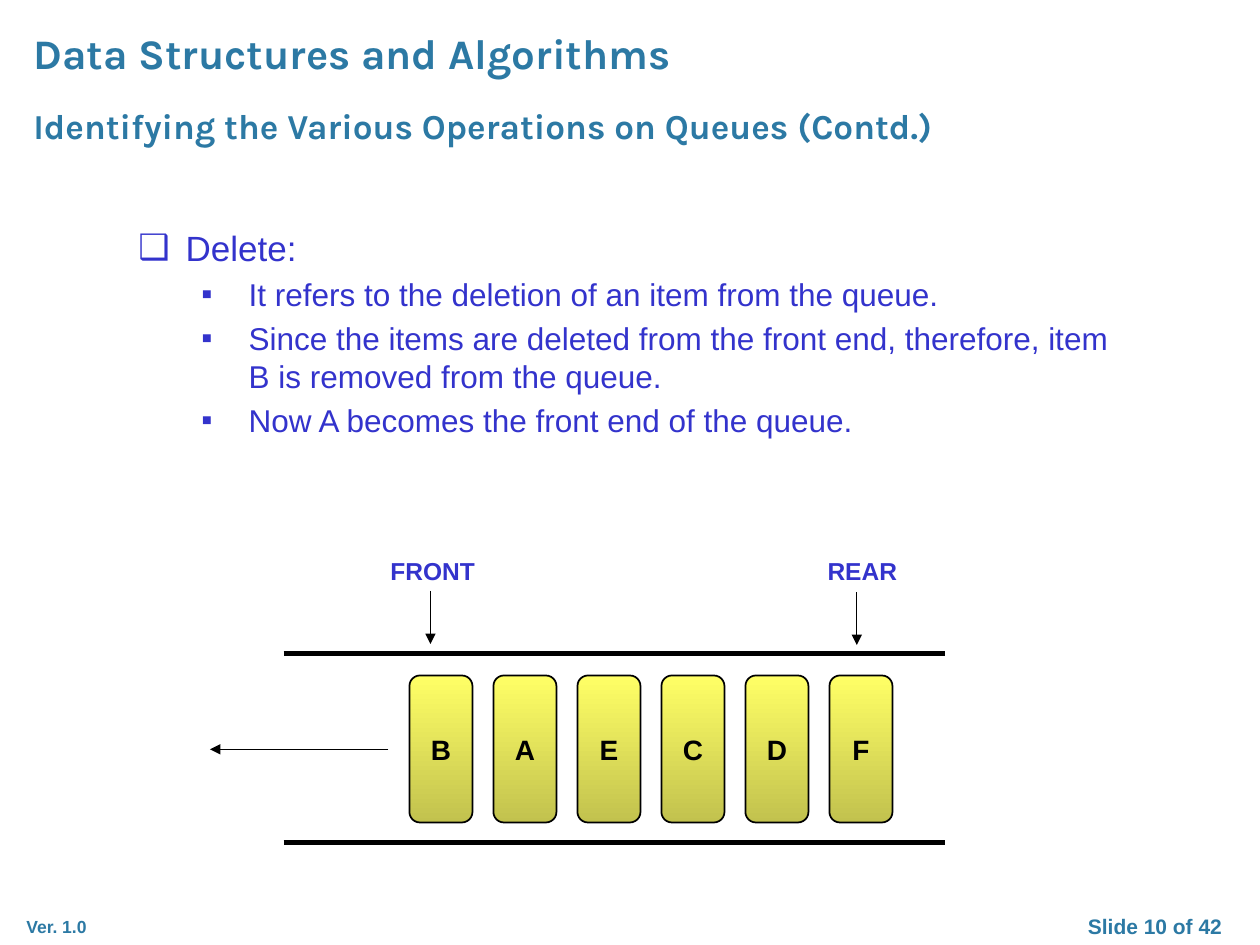
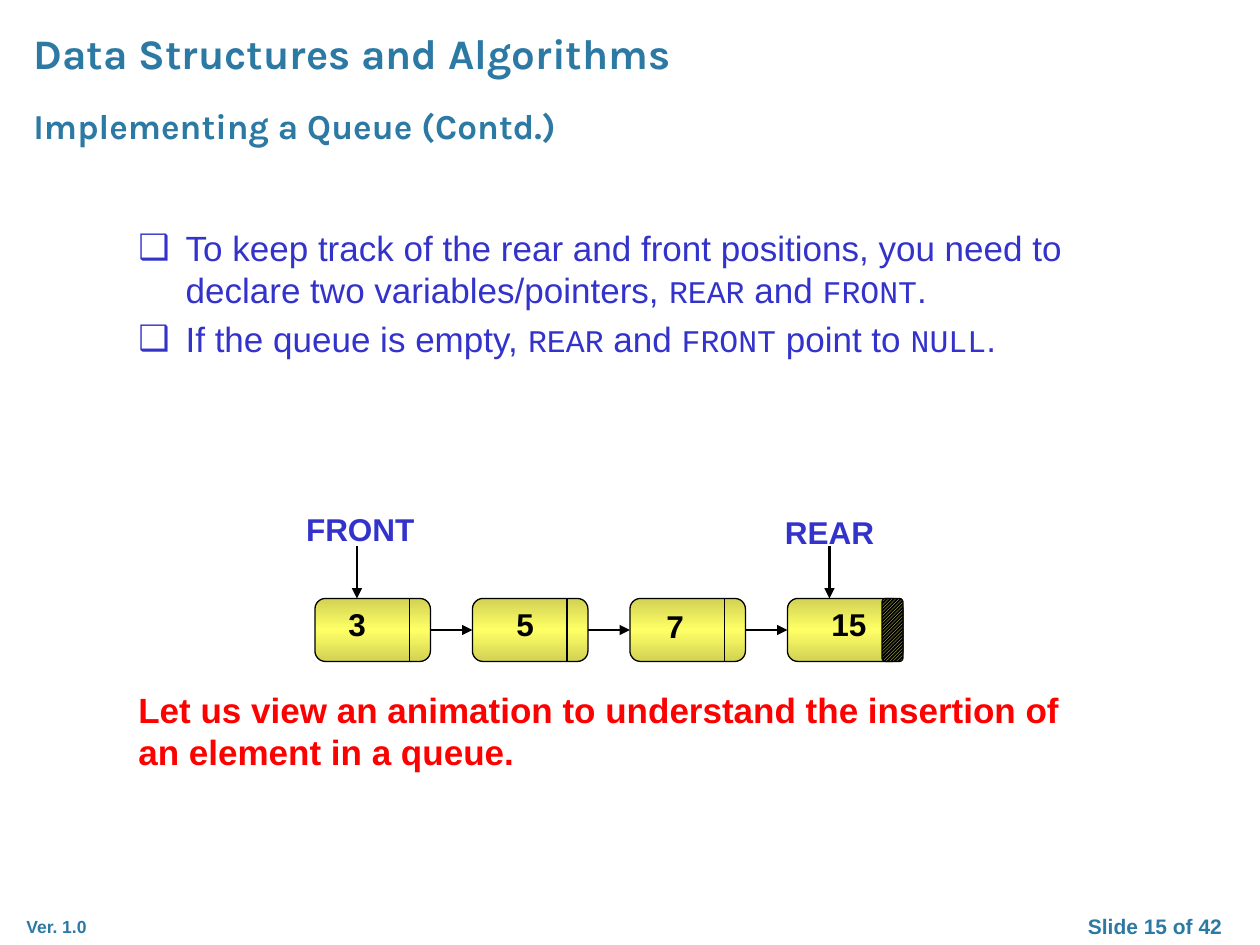
from copy import deepcopy

from lxml import etree
from pptx import Presentation
from pptx.dml.color import RGBColor
from pptx.enum.dml import MSO_PATTERN
from pptx.enum.shapes import MSO_CONNECTOR, MSO_SHAPE
from pptx.enum.text import MSO_ANCHOR, PP_ALIGN
from pptx.oxml.ns import qn
from pptx.util import Pt

STRAIGHT = MSO_CONNECTOR.STRAIGHT
ROUNDED = MSO_SHAPE.ROUNDED_RECTANGLE
HATCHED = MSO_PATTERN.DARK_UPWARD_DIAGONAL
MIDDLE = MSO_ANCHOR.MIDDLE
LEFT, CENTER = PP_ALIGN.LEFT, PP_ALIGN.CENTER

TEAL, BLUE, RED, BLACK = "2C79A4", "3333CC", "FF0000", "000000"
YELLOW, OLIVE, DULL_YELLOW = "FFFF66", "C2C24E", "D2D254"
BODY_FONT, TITLE_FONT, CODE_FONT = "Arial", "Karla", "Courier New"
color = RGBColor.from_string


def add_text(slide, box, text, size, hex_color, font=BODY_FONT, align=LEFT):
    frame = slide.shapes.add_textbox(*map(Pt, box)).text_frame
    frame.word_wrap = True
    frame.paragraphs[0].alignment = align
    run = frame.paragraphs[0].add_run()
    run.text = text
    run.font.name, run.font.size, run.font.bold = font, Pt(size), True
    run.font.color.rgb = color(hex_color)


def add_line(slide, start, end, width, arrow=False):
    line = slide.shapes.add_connector(STRAIGHT, *map(Pt, start + end))
    line.line.color.rgb = color(BLACK)
    line.line.width = Pt(width)
    properties = line._element.spPr
    if arrow:
        etree.SubElement(properties.find(qn("a:ln")), qn("a:tailEnd"), type="triangle")
    etree.SubElement(properties, qn("a:effectLst"))


prs = Presentation()
prs.slide_width, prs.slide_height = Pt(720), Pt(540)
delete_slide, linked_slide = [prs.slides.add_slide(prs.slide_layouts[6]) for _ in range(2)]

# Body text: (level, size, pieces), where every second piece is code
delete_points = [
    (0, 20, ["Delete:"]),
    (1, 18, ["It refers to the deletion of an item from the queue."]),
    (1, 18, ["Since the items are deleted from the front end, therefore, "
             "item B is removed from the queue."]),
    (1, 18, ["Now A becomes the front end of the queue."]),
]
pointer_points = [
    (0, 20, ["To keep track of the rear and front positions, you need to declare "
             "two variables/pointers, ", "REAR", " and ", "FRONT", "."]),
    (0, 20, ["If the queue is empty, ", "REAR", " and ", "FRONT",
             " point to ", "NULL", "."]),
]
contents = [
    (delete_slide, 10, "Identifying the Various Operations on Queues (Contd.)", delete_points),
    (linked_slide, 15, "Implementing a Queue (Contd.)", pointer_points),
]

for slide, number, topic, points in contents:
    # Course title, topic and footer
    add_text(slide, (12, 12, 600, 40), "Data Structures and Algorithms", 24, TEAL, TITLE_FONT)
    add_text(slide, (12, 56, 606, 32), topic, 20, TEAL, TITLE_FONT)
    add_text(slide, (8, 520, 57, 19), "Ver. 1.0", 10, TEAL)
    add_text(slide, (600, 518.4, 120, 22), f"Slide {number} of 42", 12, TEAL, align=CENTER)

    # Bulleted points
    body = slide.shapes.add_textbox(Pt(72), Pt(126), Pt(576), Pt(360)).text_frame
    body.word_wrap = True
    for index, (level, size, pieces) in enumerate(points):
        point = body.add_paragraph() if index else body.paragraphs[0]
        point.level = level
        point.space_before = Pt(size * 0.2)
        properties = point._p.get_or_add_pPr()
        properties.set("marL", str(Pt(27 + 36 * level)))
        properties.set("indent", str(Pt(-27)))
        etree.SubElement(properties, qn("a:buFont"), typeface=BODY_FONT)
        etree.SubElement(properties, qn("a:buChar"), char="❑▪"[level])
        for position, piece in enumerate(pieces):
            is_code = position % 2
            run = point.add_run()
            run.text = piece
            run.font.name = CODE_FONT if is_code else BODY_FONT
            run.font.size = Pt(18 if is_code else size)
            run.font.color.rgb = color(BLUE)

# Queue items: (slide, box, fill colours, line width, letter)
items = [(delete_slide, (234 + 48 * i, 386, 36, 84), (YELLOW, OLIVE), 1, letter)
         for i, letter in enumerate("BAECDF")]
node_lefts = [180 + 90 * i for i in range(4)]
items += [(linked_slide, (left, 342, 66, 36), (DULL_YELLOW, YELLOW, DULL_YELLOW), 0.75, "")
          for left in node_lefts]
items.append((linked_slide, (504, 342, 12, 36), None, 0.75, ""))

for slide, box, shades, line_width, letter in items:
    item = slide.shapes.add_shape(ROUNDED, *map(Pt, box))
    item.shadow.inherit = False
    item.line.color.rgb = color(BLACK)
    item.line.width = Pt(line_width)
    if shades:
        item.fill.gradient()
        item.fill.gradient_angle = 270
        stops = item._element.spPr.find(".//" + qn("a:gsLst"))
        for _ in shades[2:]:
            stops.append(deepcopy(stops[0]))
        for step, (stop, shade) in enumerate(zip(item.fill.gradient_stops, shades)):
            stop.position = step / (len(shades) - 1)
            stop.color.rgb = color(shade)
    else:
        item.fill.patterned()
        item.fill.pattern = HATCHED
        item.fill.fore_color.rgb = color(YELLOW)
        item.fill.back_color.rgb = color(BLACK)
    if letter:
        item.text_frame.word_wrap = False
        item.text_frame.vertical_anchor = MIDDLE
        item.text_frame.paragraphs[0].alignment = CENTER
        run = item.text_frame.paragraphs[0].add_run()
        run.text = letter
        run.font.name, run.font.size, run.font.bold = BODY_FONT, Pt(16), True
        run.font.color.rgb = color(BLACK)

# Queue walls and the item leaving at the front
for wall_y in (373.5, 481.5):
    add_line(delete_slide, (162, wall_y), (540, wall_y), 3)
add_line(delete_slide, (222, 428.2), (120, 428.2), 0.75, arrow=True)

# Links between nodes and the divider before each link
for left in node_lefts[:-1]:
    add_line(linked_slide, (left + 54, 342), (left + 54, 378), 0.75)
    add_line(linked_slide, (left + 66, 360), (left + 90, 360), 1.25, arrow=True)

# Node values
for value, left, top in [("3", 192, 342), ("5", 288, 342), ("7", 373.7, 343.4), ("15", 468, 342)]:
    add_text(linked_slide, (left, top, 42, 29), value, 18, BLACK)

# Front and rear pointers
pointers = [
    (delete_slide, "FRONT", 216, 314, 14, 246, 337.7, 368, 0.75),
    (delete_slide, "REAR", 465.8, 314, 14, 489.6, 338.4, 368.6, 0.75),
    (linked_slide, "FRONT", 167.8, 288, 18, 204, 312, 342, 1.25),
    (linked_slide, "REAR", 441.4, 289.4, 18, 474, 312, 342, 1.25),
]
for slide, label, left, top, size, x, start_y, end_y, width in pointers:
    add_text(slide, (left, top, 84, 29), label, size, BLUE)
    add_line(slide, (x, start_y), (x, end_y), width, arrow=True)

# Lead-in to the animation
add_text(linked_slide, (72, 390, 546, 55.5),
         "Let us view an animation to understand the insertion of an element in a queue.", 20, RED)

prs.save("out.pptx")
